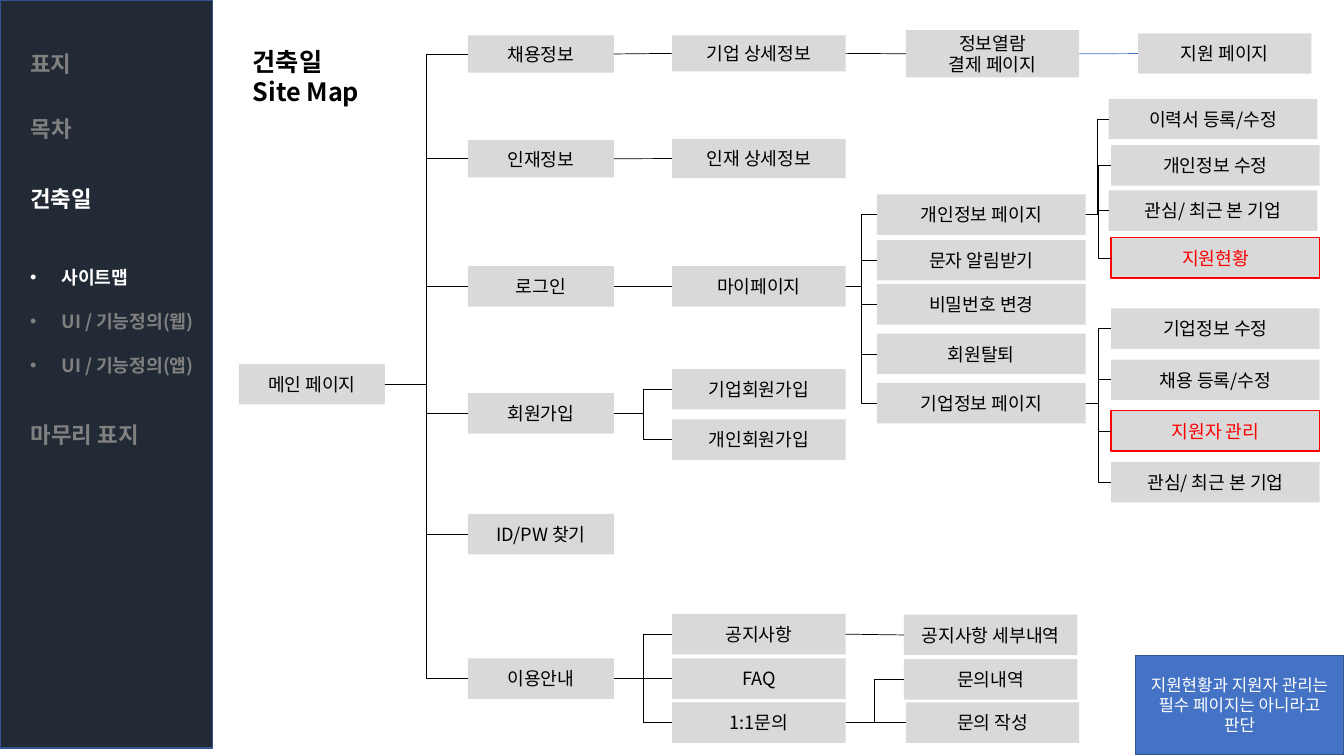
from dataclasses import dataclass
from typing import NamedTuple

from lxml.etree import SubElement
from pptx import Presentation
from pptx.dml.color import RGBColor
from pptx.enum.shapes import MSO_CONNECTOR, MSO_SHAPE
from pptx.enum.text import MSO_ANCHOR, MSO_AUTO_SIZE, PP_ALIGN
from pptx.oxml.ns import qn
from pptx.util import Cm, Pt

FONT = "Noto Sans CJK KR"
BLACK, WHITE, RED = "000000", "FFFFFF", "FF0000"
BOX_GRAY, TEXT_GRAY = "D9D9D9", "808080"
NAVY, BLUE, DARK_BLUE = "222A35", "4472C4", "325491"
LEFT_SITE, RIGHT_SITE = 1, 3


class Column(NamedTuple):
    left: float
    width: float


MAIN = Column(6.02, 3.68)
MENU = Column(11.79, 3.68)
DETAIL = Column(16.94, 4.37)
PAYMENT = Column(22.83, 4.37)
SUPPORT = Column(22.78, 4.37)
ACCOUNT = Column(22.1, 5.26)
PERSONAL = Column(27.94, 5.26)
EDIT = Column(28, 5.26)
APPLY = Column(28.68, 4.37)


@dataclass
class Page:
    text: str
    column: Column
    top: float
    height: float = 1.02
    children: tuple["Page", ...] = ()
    optional: bool = False
    link_color: str = BLACK


@dataclass
class Label:
    lines: list[str]
    left: float
    top: float
    width: float
    height: float
    size: int = 16
    color: str = TEXT_GRAY


# Site map, each page with the pages below it
SITE_MAP = Page("메인 페이지", MAIN, 9.17, children=(
    Page("채용정보", MENU, 0.89, 0.94, (
        Page("기업 상세정보", DETAIL, 0.89, 0.91, (
            Page("정보열람\n결제 페이지", PAYMENT, 0.76, 1.19, (
                Page("지원 페이지", APPLY, 0.84, link_color=BLUE),
            )),
        )),
    )),
    Page("인재정보", MENU, 3.53, 0.94, (
        Page("인재 상세정보", DETAIL, 3.5, 0.99),
    )),
    Page("로그인", MENU, 6.71, children=(
        Page("마이페이지", DETAIL, 6.71, children=(
            Page("개인정보 페이지", ACCOUNT, 4.9, children=(
                Page("이력서 등록/수정", PERSONAL, 2.49),
                Page("개인정보 수정", EDIT, 3.66),
                Page("관심/ 최근 본 기업", PERSONAL, 4.8),
                Page("지원현황", EDIT, 5.99, optional=True),
            )),
            Page("문자 알림받기", ACCOUNT, 6.05),
            Page("비밀번호 변경", ACCOUNT, 7.16),
            Page("회원탈퇴", ACCOUNT, 8.41),
            Page("기업정보 페이지", ACCOUNT, 9.65, children=(
                Page("기업정보 수정", EDIT, 7.77),
                Page("채용 등록/수정", EDIT, 9.06),
                Page("지원자 관리", EDIT, 10.35, optional=True),
                Page("관심/ 최근 본 기업", EDIT, 11.64),
            )),
        )),
    )),
    Page("회원가입", MENU, 9.91, children=(
        Page("기업회원가입", DETAIL, 9.3),
        Page("개인회원가입", DETAIL, 10.57),
    )),
    Page("ID/PW 찾기", MENU, 12.95),
    Page("이용안내", MENU, 16.59, children=(
        Page("공지사항", DETAIL, 15.47, children=(
            Page("공지사항 세부내역", SUPPORT, 15.49),
        )),
        Page("FAQ", DETAIL, 16.59),
        Page("1:1문의", DETAIL, 17.7, children=(
            Page("문의내역", SUPPORT, 16.61),
            Page("문의 작성", PAYMENT, 17.7),
        )),
    )),
))

LABELS = [
    Label(["건축일", "Site Map"], 6.12, 1.04, 7.62, 2.82, 18, BLACK),
    Label(["표지"], 0.51, 1.14, 3.58, 0.94),
    Label(["목차"], 0.53, 2.77, 3.56, 0.94),
    Label(["건축일"], 0.51, 4.55, 6.07, 4.78, color=WHITE),
    Label(["마무리 표지"], 0.53, 10.49, 3.56, 0.94),
]
SECTION = 3
SECTION_ITEMS = [("사이트맵", WHITE), ("UI / 기능정의(웹)", TEXT_GRAY),
                 ("UI / 기능정의(앱)", TEXT_GRAY)]


def rgb(color: str) -> RGBColor:
    return RGBColor.from_string(color)


def format_runs(paragraph, size: int, color: str, bold: bool = False) -> None:
    for run in paragraph.runs:
        run.font.size = Pt(size)
        run.font.bold = bold
        run.font.color.rgb = rgb(color)
        run.font.name = FONT
        SubElement(run.font._element, qn("a:ea"), typeface=FONT)


def add_box(slide, left: float, top: float, width: float, height: float,
            fill: str, line: str = "", text: str = "", size: int = 13,
            color: str = BLACK):
    shape = slide.shapes.add_shape(MSO_SHAPE.RECTANGLE, Cm(left), Cm(top),
                                   Cm(width), Cm(height))
    shape.shadow.inherit = False
    shape.fill.solid()
    shape.fill.fore_color.rgb = rgb(fill)
    if line:
        shape.line.color.rgb = rgb(line)
        shape.line.width = Pt(1)
    else:
        shape.line.fill.background()
    if text:
        shape.text_frame.text = text
        shape.text_frame.word_wrap = True
        shape.text_frame.vertical_anchor = MSO_ANCHOR.MIDDLE
        for paragraph in shape.text_frame.paragraphs:
            paragraph.alignment = PP_ALIGN.CENTER
            format_runs(paragraph, size, color)
    return shape


def add_link(slide, parent, child, color: str) -> None:
    drop = (parent.top + parent.height / 2) - (child.top + child.height / 2)
    level = abs(drop) < Cm(0.05)
    kind = MSO_CONNECTOR.STRAIGHT if level else MSO_CONNECTOR.ELBOW
    connector = slide.shapes.add_connector(kind, 0, 0, 0, 0)
    connector.begin_connect(parent, RIGHT_SITE)
    connector.end_connect(child, LEFT_SITE)
    connector.line.color.rgb = rgb(color)
    connector.line.width = Pt(0.5)
    SubElement(connector._element.spPr, qn("a:effectLst"))


def add_page(slide, page: Page):
    accent = RED if page.optional else ""
    shape = add_box(slide, page.column.left, page.top, page.column.width,
                    page.height, BOX_GRAY, accent, page.text,
                    color=accent or BLACK)
    for child in page.children:
        add_link(slide, shape, add_page(slide, child), child.link_color)
    return shape


def add_label(slide, label: Label):
    shape = slide.shapes.add_textbox(Cm(label.left), Cm(label.top),
                                     Cm(label.width), Cm(label.height))
    text_frame = shape.text_frame
    text_frame.text = "\n".join(label.lines)
    text_frame.word_wrap = True
    text_frame.auto_size = MSO_AUTO_SIZE.SHAPE_TO_FIT_TEXT
    for paragraph in text_frame.paragraphs:
        format_runs(paragraph, label.size, label.color, bold=True)
    return shape


def add_bullets(text_frame, items: list[tuple[str, str]]) -> None:
    for index, (text, color) in enumerate(items):
        paragraph = text_frame.add_paragraph()
        paragraph.text = text
        paragraph.line_spacing = 2.0
        if index == 0:
            paragraph.space_before = Pt(23)
        format_runs(paragraph, 13, color, bold=True)
        properties = paragraph._p.get_or_add_pPr()
        properties.set("marL", str(Cm(0.79)))
        properties.set("indent", str(-Cm(0.79)))
        SubElement(properties, qn("a:buFont"), typeface="Arial")
        SubElement(properties, qn("a:buChar"), char="•")


def main() -> None:
    presentation = Presentation()
    presentation.slide_width, presentation.slide_height = Cm(33.87), Cm(19.05)
    slide = presentation.slides.add_slide(presentation.slide_layouts[6])

    # Site map
    add_page(slide, SITE_MAP)

    # Sidebar and headings
    add_box(slide, 0, 0, 5.36, 18.85, NAVY, DARK_BLUE)
    labels = [add_label(slide, label) for label in LABELS]
    add_bullets(labels[SECTION].text_frame, SECTION_ITEMS)

    # Remark on the optional pages
    add_box(slide, 28.61, 16.52, 5.26, 2.49, BLUE, DARK_BLUE,
            "지원현황과 지원자 관리는 필수 페이지는 아니라고 판단", 12, WHITE)

    presentation.save("out.pptx")


if __name__ == "__main__":
    main()
